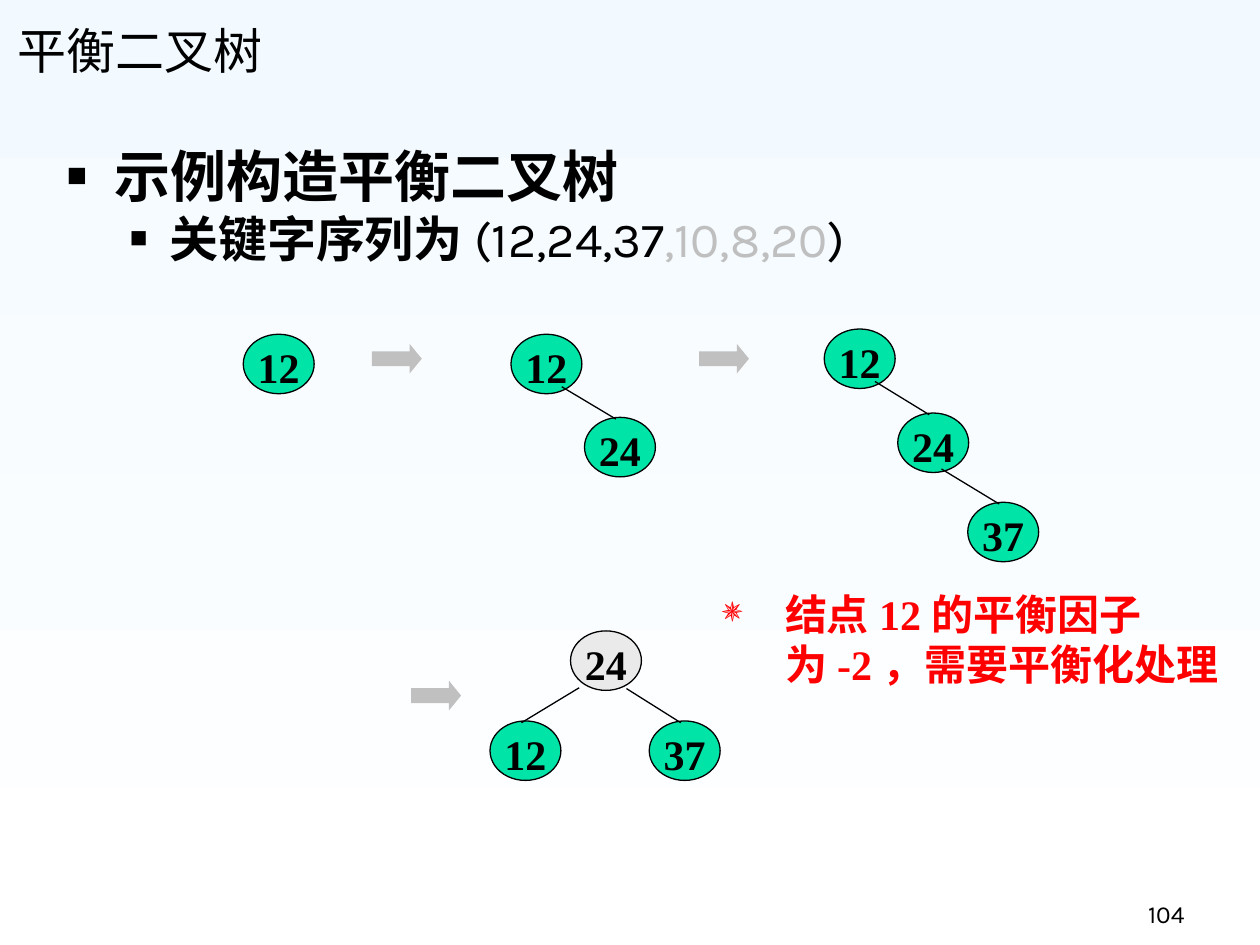
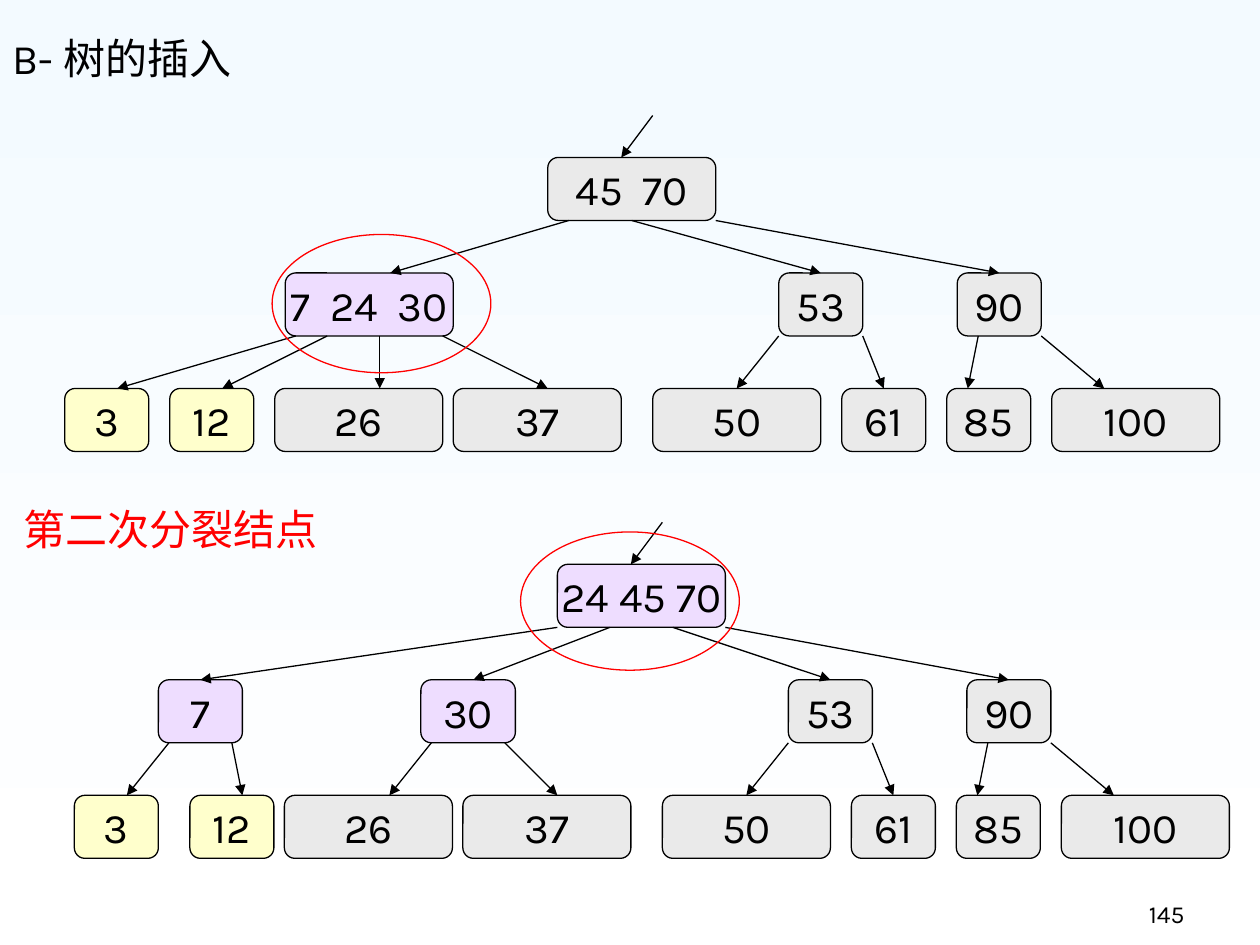
from lxml import etree
from pptx import Presentation
from pptx.dml.color import RGBColor
from pptx.enum import dml, shapes, text
from pptx.oxml import ns
from pptx.util import Pt

COLORS = {
    "sky": "F3FAFF", "white": "FFFFFF", "black": "000000", "red": "FF0000",
    "green": "00E4A8", "gray": "EAEAEA", "arrow": "C0C0C0", "faded": "BFBFBF",
    "lilac": "EEDDFF", "cream": "FFFFCC",
}
CJK_FONT = "Noto Sans CJK SC"
KARLA = {"name": "Karla", "bold": False}
TIMES = {"name": "Times New Roman", "bold": True, "size": Pt(24)}
TITLE = {**KARLA, "size": Pt(28)}
TITLE_SMALL = {**KARLA, "size": Pt(24)}
HEADING = {**KARLA, "bold": True, "size": Pt(32)}
SUBHEADING = {**HEADING, "size": Pt(28)}
SEQUENCE = {**KARLA, "size": Pt(28)}
KEY = {**KARLA, "size": Pt(24)}
PAGE = {**KARLA, "size": Pt(14)}

FRAME = {"word_wrap": True, "auto_size": text.MSO_AUTO_SIZE.NONE,
         "vertical_anchor": text.MSO_ANCHOR.TOP}
BOTTOM = {**FRAME, "vertical_anchor": text.MSO_ANCHOR.BOTTOM}
CENTERED = {**FRAME, "word_wrap": False, "vertical_anchor": text.MSO_ANCHOR.MIDDLE}
TREE_NODE = {**FRAME, "margin_left": 0, "margin_right": 0,
             "margin_top": Pt(8.64), "margin_bottom": 0}
LEFT = {"alignment": text.PP_ALIGN.LEFT, "space_before": Pt(0)}
RIGHT = {**LEFT, "alignment": text.PP_ALIGN.RIGHT}
CENTER = {**LEFT, "alignment": text.PP_ALIGN.CENTER}

NODE_W, NODE_H = 40.5, 34
NARROW, WIDE, BOX_H, LEVEL_STEP = 48, 96, 36, 66

RIGHT_BRANCH = [
    ("53", 1, 408, NARROW, "gray", 0),
    ("90", 1, 510, NARROW, "gray", 0),
    ("26", 2, 120, WIDE, "gray", 12),
    ("37", 2, 222, WIDE, "gray", 6),
    ("50", 2, 336, WIDE, "gray", 0),
    ("61", 2, 444, NARROW, "gray", 0),
    ("85", 2, 504, NARROW, "gray", -12),
    ("100", 2, 564, WIDE, "gray", -18),
]
BEFORE_SPLIT = [
    ("45  70", 0, 276, WIDE, "gray", -6),
    ("7  24  30", 1, 126, WIDE, "lilac", 12),
    ("3", 2, 0, NARROW, "cream", 6),
    ("12", 2, 60, NARROW, "cream", 6),
] + RIGHT_BRANCH
AFTER_SPLIT = [
    ("24 45 70", 0, 276, WIDE, "lilac", -6),
    ("7", 1, 48, NARROW, "lilac", 0),
    ("30", 1, 198, 54, "lilac", 3),
    ("3", 2, 0, NARROW, "cream", 6),
    ("12", 2, 66, NARROW, "cream", 6),
] + RIGHT_BRANCH
SHARED_STARTS = {"50": 408, "61": 456, "85": 522, "100": 558}
BEFORE_STARTS = {"45  70": 336, "7  24  30": 288, "53": 324, "90": 372,
                 "3": 132, "12": 150, "26": 180, "37": 216, **SHARED_STARTS}
AFTER_STARTS = {"24 45 70": 336, "7": 276, "30": 306, "53": 342, "90": 372,
                "3": 54, "12": 90, "26": 204, "37": 246, **SHARED_STARTS}


def rgb(color):
    return RGBColor.from_string(COLORS[color])


def apply(obj, values):
    for name, value in values.items():
        setattr(obj, name, value)


def place(sp, x, y, w, h):
    apply(sp, {"left": Pt(x), "top": Pt(y), "width": Pt(w), "height": Pt(h)})


def sub(parent, tag, **attrs):
    return etree.SubElement(parent, ns.qn(tag), **attrs)


def set_bullet(p, char, percent, color, margin, indent):
    pPr = p._p.get_or_add_pPr()
    pPr.set("marL", str(Pt(margin)))
    pPr.set("indent", str(Pt(indent)))
    if not char:
        sub(pPr, "a:buNone")
        return
    sub(sub(pPr, "a:buClr"), "a:srgbClr", val=COLORS[color])
    sub(pPr, "a:buSzPct", val=str(percent * 1000))
    sub(pPr, "a:buChar", char=char)


def write(p, runs, values):
    apply(p, values)
    for words, fmt, color in runs:
        r = p.add_run()
        r.text = words
        apply(r.font, fmt)
        r.font.color.rgb = rgb(color)
        sub(r._r.get_or_add_rPr(), "a:ea", typeface=CJK_FONT)


def add_slide(prs, title, fmt, title_box, align, page):
    s = prs.slides.add_slide(prs.slide_layouts[1])
    place(s.shapes.title, *title_box)
    tf = s.shapes.title.text_frame
    apply(tf, BOTTOM)
    write(tf.paragraphs[0], [(title, fmt, "black")], align)
    add_text(s, (534, 498, 150, 36), [(page, PAGE, "black")], BOTTOM, RIGHT)
    return s


def add_text(s, box, runs, frame, align, bullet=None):
    sp = s.shapes.add_textbox(*map(Pt, box))
    apply(sp.text_frame, frame)
    p = sp.text_frame.paragraphs[0]
    if bullet:
        set_bullet(p, *bullet)
    write(p, runs, align)


def fill_body(s, box, items):
    body = s.placeholders[1]
    place(body, *box)
    tf = body.text_frame
    apply(tf, FRAME)
    for i, (level, bullet, runs, values) in enumerate(items):
        p = tf.add_paragraph() if i else tf.paragraphs[0]
        p.level = level
        set_bullet(p, *bullet)
        write(p, runs, values)


def add_shape(s, kind, box, fill=None, line=None):
    sp = s.shapes.add_shape(kind, *map(Pt, box))
    sp.shadow.inherit = False
    if fill:
        sp.fill.solid()
        sp.fill.fore_color.rgb = rgb(fill)
    else:
        sp.fill.background()
    if line:
        sp.line.color.rgb = rgb(line)
        sp.line.width = Pt(0.75)
    else:
        sp.line.fill.background()
    return sp


def add_line(s, x1, y1, x2, y2, arrow=False):
    ln = s.shapes.add_connector(shapes.MSO_CONNECTOR.STRAIGHT, *map(Pt, (x1, y1, x2, y2)))
    ln.line.color.rgb = rgb("black")
    ln.line.width = Pt(0.75)
    if arrow:
        sub(ln.line._get_or_add_ln(), "a:tailEnd", type="triangle")
    sub(ln._element.spPr, "a:effectLst")
    return ln


def add_tree_node(s, key, x, y, fill="green"):
    sp = add_shape(s, shapes.MSO_SHAPE.OVAL, (x, y, NODE_W, NODE_H), fill, "black")
    apply(sp.text_frame, TREE_NODE)
    write(sp.text_frame.paragraphs[0], [(key, TIMES, "black")],
          {**CENTER, "line_spacing": 0.64})


def add_binary_tree(s, nodes, edges):
    for key, (x, y, fill) in nodes.items():
        add_tree_node(s, key, x, y, fill)
    for parent, child, dx, dy in edges:
        px, py, _ = nodes[parent]
        cx, cy, _ = nodes[child]
        add_line(s, px + dx, py + dy, cx + 18, cy + 1)


def add_step_arrow(s, x, y):
    sp = add_shape(s, shapes.MSO_SHAPE.RIGHT_ARROW, (x, y, 28.5, 17), "arrow")
    sp.adjustments[1] = 0.41


def add_b_tree(s, left, top, nodes, starts):
    for keys, level, x, w, fill, shift in nodes:
        x += left
        y = top + level * LEVEL_STEP
        box = add_shape(s, shapes.MSO_SHAPE.ROUNDED_RECTANGLE, (x, y, w, BOX_H), fill, "black")
        apply(box.text_frame, CENTERED)
        write(box.text_frame.paragraphs[0], [(keys, KEY, "black")], CENTER)
        rise = LEVEL_STEP - BOX_H if level else 24
        ln = add_line(s, left + starts[keys], y - rise, x + w / 2 + shift, y, True)
        if not shift:
            ln.end_connect(box, 0)


def set_background(prs):
    fill = prs.slide_master.background.fill
    fill.gradient()
    fill.gradient_angle = 270
    for stop, color in zip(fill.gradient_stops, ("sky", "white")):
        stop.color.rgb = rgb(color)


def balanced_tree_slide(prs):
    s = add_slide(prs, "平衡二叉树", TITLE, (3, 3.5, 613.5, 45.5),
                  {**LEFT, "alignment": text.PP_ALIGN.JUSTIFY}, "104")
    fill_body(s, (31, 77, 674, 368.5), [
        (0, ("■", 60, "black", 27, -27), [("示例构造平衡二叉树", HEADING, "black")], LEFT),
        (1, ("■", 60, "black", 58.5, -22.5), [
            ("关键字序列为", SUBHEADING, "black"),
            ("(12,24,37", SEQUENCE, "black"),
            (",10,8,20", SEQUENCE, "faded"),
            (")", SEQUENCE, "black")], LEFT),
    ])
    add_binary_tree(s, {"12": (139, 191, "green")}, [])
    add_binary_tree(s, {"12": (292, 191, "green"), "24": (334, 238.5, "green")},
                    [("12", "24", 29, 30)])
    add_binary_tree(s, {"12": (471, 188, "green"), "24": (513, 236, "green"),
                        "37": (553, 287, "green")},
                    [("12", "24", 29, 30), ("24", "37", 25, 32)])
    add_binary_tree(s, {"24": (326, 360.5, "gray"), "12": (280, 412, "green"),
                        "37": (371, 412, "green")},
                    [("24", "12", 5, 32.5), ("24", "37", 32, 33)])
    for x, y in ((212.5, 196.5), (399.5, 196.5), (235, 389)):
        add_step_arrow(s, x, y)
    add_text(s, (405.5, 332.5, 314.5, 62.5),
             [("结点12的平衡因子为-2，需要平衡化处理", TIMES, "red")],
             FRAME, LEFT, ("✵", 85, "red", 36, -36))


def b_tree_slide(prs):
    s = add_slide(prs, "B-树的插入", TITLE_SMALL, (0, 0, 613.5, 51), LEFT, "145")
    fill_body(s, (6.5, 287.5, 240, 30), [
        (0, ("", 0, "red", 27, -27), [("第二次分裂结点", KEY, "red")],
         {**LEFT, "line_spacing": 0.9}),
    ])
    add_b_tree(s, 37, 90, BEFORE_SPLIT, BEFORE_STARTS)
    add_b_tree(s, 42.5, 322.5, AFTER_SPLIT, AFTER_STARTS)
    for x, y in ((155.5, 134), (297.5, 304)):
        add_shape(s, shapes.MSO_SHAPE.OVAL, (x, y, 125, 79), line="red")


def main():
    prs = Presentation()
    prs.slide_width, prs.slide_height = Pt(720), Pt(540)
    set_background(prs)
    balanced_tree_slide(prs)
    b_tree_slide(prs)
    prs.save("out.pptx")


if __name__ == "__main__":
    main()
